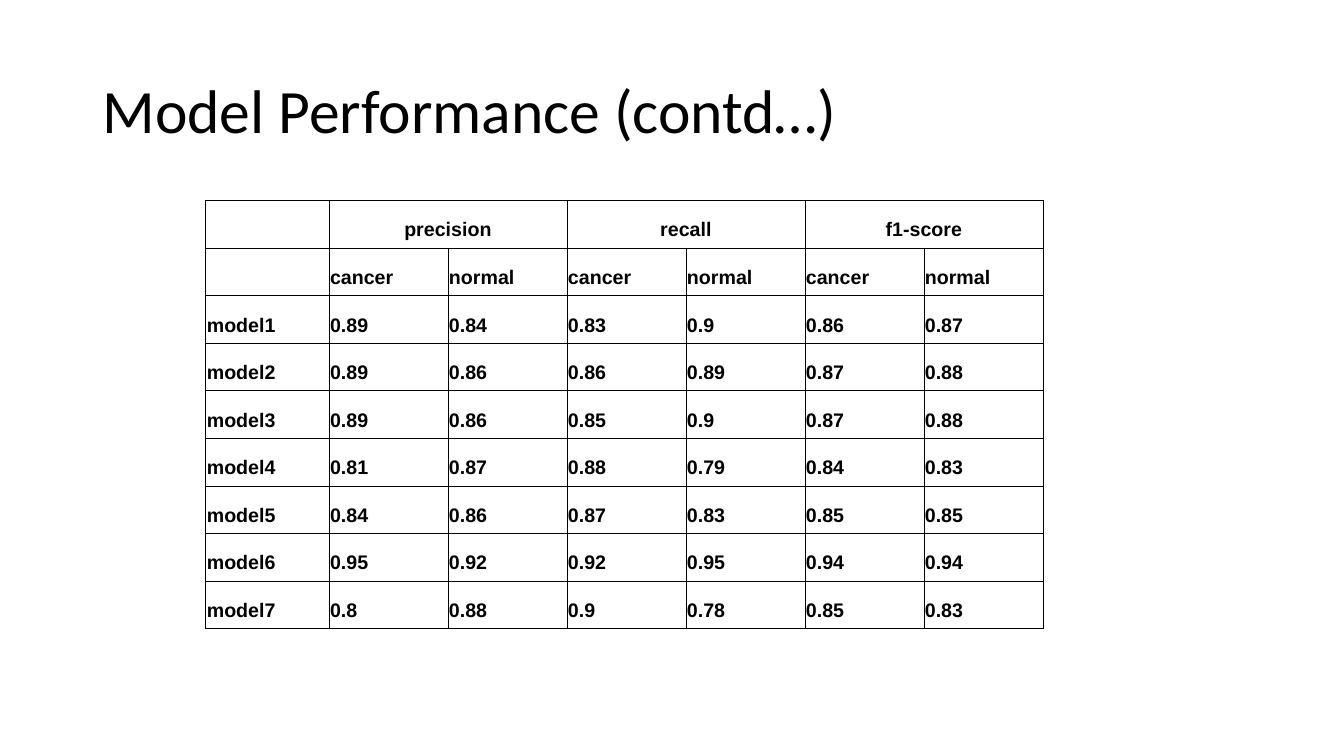
from lxml.etree import SubElement
from pptx import Presentation
from pptx.dml.color import RGBColor
from pptx.enum.text import MSO_ANCHOR as Anchor, PP_ALIGN as Align
from pptx.oxml.ns import qn
from pptx.util import Pt

COLORS = {"ink": "000000"}
METRICS = ["precision", "recall", "f1-score"]
CLASSES = ["cancer", "normal"]
SCORES = [
    [0.89, 0.84, 0.83, 0.9, 0.86, 0.87],
    [0.89, 0.86, 0.86, 0.89, 0.87, 0.88],
    [0.89, 0.86, 0.85, 0.9, 0.87, 0.88],
    [0.81, 0.87, 0.88, 0.79, 0.84, 0.83],
    [0.84, 0.86, 0.87, 0.83, 0.85, 0.85],
    [0.95, 0.92, 0.92, 0.95, 0.94, 0.94],
    [0.8, 0.88, 0.9, 0.78, 0.85, 0.83],
]
MODEL_WIDTH, SCORE_WIDTH, ROW_HEIGHT = 88, 85, 33.96


def style_text(paragraph, font_name, size, bold, align):
    """Align a paragraph and format its runs."""
    paragraph.alignment = align
    for run in paragraph.runs:
        run.font.name = font_name
        run.font.size = Pt(size)
        run.font.bold = bold
        run.font.color.rgb = RGBColor.from_string(COLORS["ink"])


def add_title(slide, wording):
    """Place and format the slide title."""
    title = slide.shapes.title
    title.left, title.top = Pt(66), Pt(28.75)
    title.width, title.height = Pt(828), Pt(104.38)
    frame = title.text_frame
    frame.text = wording
    frame.vertical_anchor = Anchor.MIDDLE
    heading = frame.paragraphs[0]
    heading.line_spacing = 0.9
    style_text(heading, "Calibri", 44, False, Align.LEFT)


def outline_cell(cell):
    """Draw thin borders around an unfilled cell."""
    properties = cell._tc.get_or_add_tcPr()
    for side in ("lnL", "lnR", "lnT", "lnB"):
        border = SubElement(properties, qn(f"a:{side}"), w=str(Pt(0.5)))
        fill = SubElement(border, qn("a:solidFill"))
        SubElement(fill, qn("a:srgbClr"), val=COLORS["ink"])
    cell.fill.background()


def fill_cell(cell, wording, align=Align.LEFT, space_before=0):
    """Write bold text at the bottom of a cell."""
    cell.text_frame.text = wording
    cell.vertical_anchor = Anchor.BOTTOM
    cell.margin_left = cell.margin_top = cell.margin_right = Pt(0.75)
    cell.margin_bottom = Pt(5)
    entry = cell.text_frame.paragraphs[0]
    entry.space_before = Pt(space_before)
    style_text(entry, "Arial", 14, True, align)


def add_score_table(slide, left, top):
    """Add the table of scores by model, metric and class."""
    body = [[""] + CLASSES * len(METRICS)]
    body += [[f"model{number}", *map(str, scores)]
             for number, scores in enumerate(SCORES, 1)]
    widths = [MODEL_WIDTH] + [SCORE_WIDTH] * len(SCORES[0])
    row_count = len(body) + 1
    table = slide.shapes.add_table(
        row_count, len(widths), Pt(left), Pt(top),
        Pt(sum(widths)), Pt(ROW_HEIGHT * row_count)).table
    table.first_row = table.horz_banding = False
    for column, width in zip(table.columns, widths):
        column.width = Pt(width)
    for row in table.rows:
        row.height = Pt(ROW_HEIGHT)
    for cell in table.iter_cells():
        outline_cell(cell)
    for index, metric in enumerate(METRICS):
        first = 1 + index * len(CLASSES)
        header = table.cell(0, first)
        header.merge(table.cell(0, first + len(CLASSES) - 1))
        fill_cell(header, metric, Align.CENTER, 10)
    for row_index, entries in enumerate(body, 1):
        for column_index, wording in enumerate(entries):
            if wording:
                fill_cell(table.cell(row_index, column_index), wording)


def main():
    """Build and save the model performance slide."""
    deck = Presentation()
    deck.slide_width, deck.slide_height = Pt(960), Pt(540)
    slide = deck.slides.add_slide(deck.slide_layouts[5])
    add_title(slide, "Model Performance (contd…)")
    add_score_table(slide, 147, 143.3)
    deck.save("out.pptx")


main()
